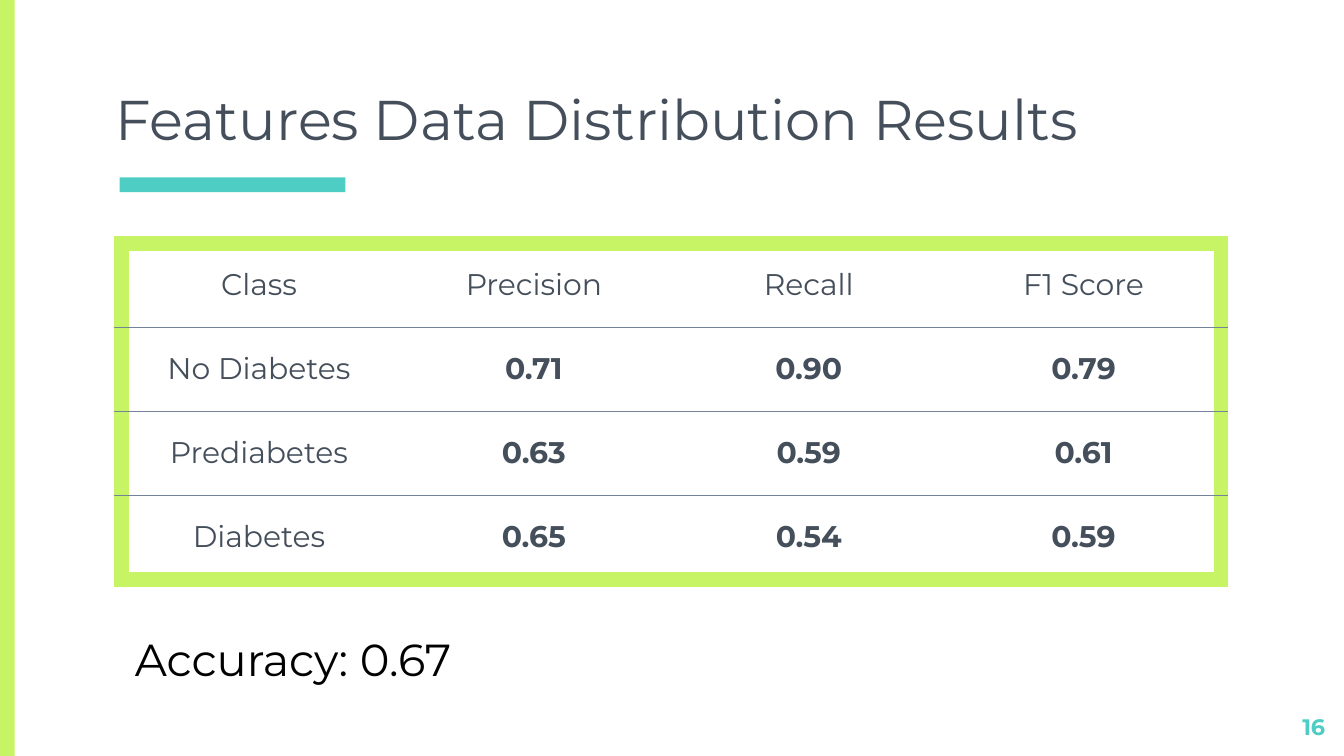
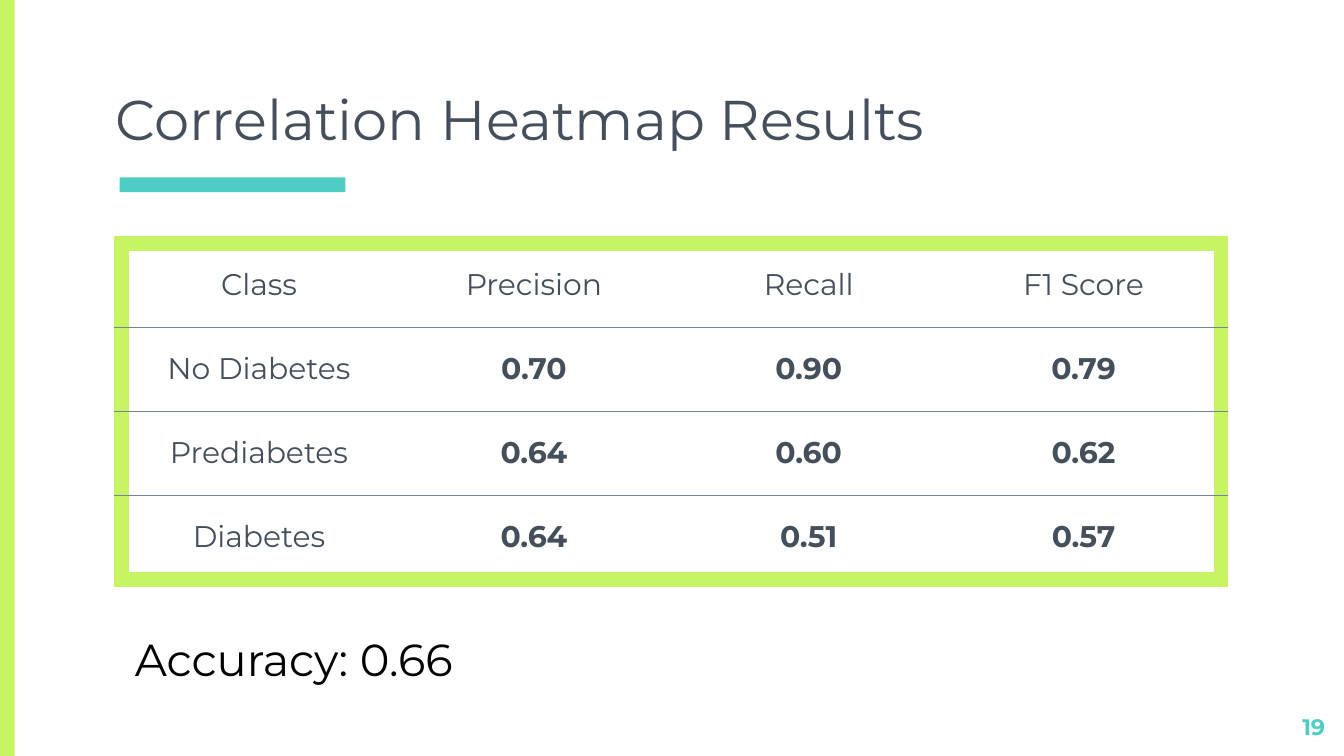
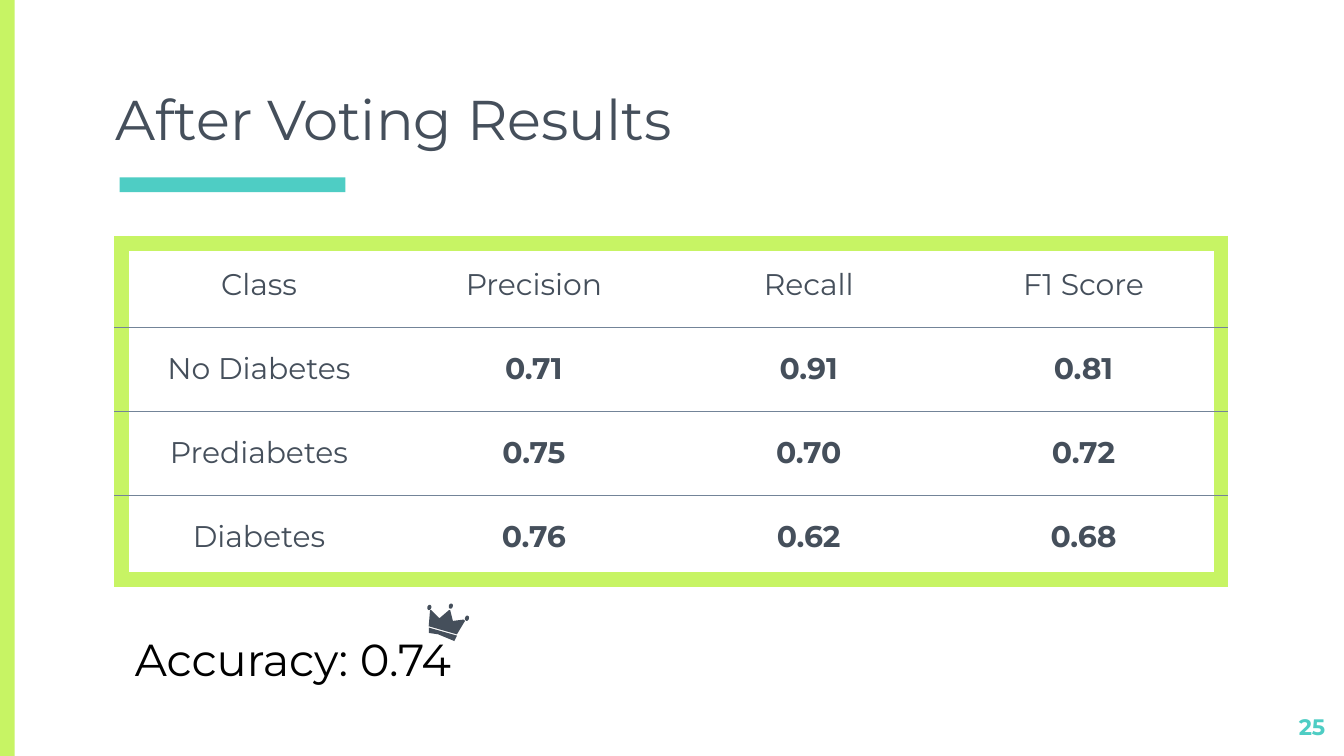
from lxml import etree
from pptx import Presentation
from pptx import util as u
from pptx.dml.color import RGBColor
from pptx.enum import shapes, text
from pptx.oxml import ns

PX = u.Inches(1) // 200
FONT = "Montserrat"
SLATE = RGBColor(0x45, 0x4F, 0x5B)
TEAL = RGBColor(0x4E, 0xCD, 0xC4)
LIME = RGBColor(0xC7, 0xF4, 0x64)
RULE = RGBColor(0x73, 0x84, 0x98)
BLACK = RGBColor(0, 0, 0)
NO_GRID_STYLE = "{2D5ABB26-0587-4C30-8999-92F81FD0307C}"

HEADERS = ("Class", "Precision", "Recall", "F1 Score")
CLASSES = ("No Diabetes", "Prediabetes", "Diabetes")
RESULTS = (
    ("Features Data Distribution Results", 16, "0.67",
     (("0.71", "0.90", "0.79"), ("0.63", "0.59", "0.61"), ("0.65", "0.54", "0.59"))),
    ("Correlation Heatmap Results", 19, "0.66",
     (("0.70", "0.90", "0.79"), ("0.64", "0.60", "0.62"), ("0.64", "0.51", "0.57"))),
    ("After Voting Results", 25, "0.74",
     (("0.71", "0.91", "0.81"), ("0.75", "0.70", "0.72"), ("0.76", "0.62", "0.68"))),
)

CROWN_BODY = ((668, 908), (654, 920), (642, 908), (640, 908), (638, 932),
              (680, 944), (692, 924), (690, 922), (674, 924), (670, 908))
CROWN_BASE = ((638, 934), (638, 942), (652, 944), (676, 954), (680, 946))
CROWN_JEWELS = ((668, 898), (692, 916), (636, 900))


def px(*lengths):
    return [n * PX for n in lengths]


def paint(sp, color):
    sp.shadow.inherit = False
    sp.fill.solid()
    sp.fill.fore_color.rgb = color
    sp.line.fill.background()


def write(tf, content, size, color, bold=False, align=text.PP_ALIGN.LEFT):
    tf.text = content
    p = tf.paragraphs[0]
    p.alignment = align
    font = p.runs[0].font
    font.name, font.size, font.bold = FONT, u.Pt(size), bold
    font.color.rgb = color


def set_insets(tf):
    tf.word_wrap = True
    tf.auto_size = text.MSO_AUTO_SIZE.NONE
    tf.margin_left = tf.margin_right = tf.margin_top = tf.margin_bottom = 20 * PX


def add_text(slide, box, *args, **style):
    tf = slide.shapes.add_textbox(*px(*box)).text_frame
    set_insets(tf)
    write(tf, *args, **style)


def set_title(slide, content):
    title = slide.shapes.title
    title.left, title.top, title.width, title.height = px(152, 34, 1698, 212)
    tf = title.text_frame
    set_insets(tf)
    tf.vertical_anchor = text.MSO_ANCHOR.BOTTOM
    write(tf, content, 30, SLATE)


def move_bars_to_layout(slide, layout):
    for ph in list(layout.placeholders)[1:]:
        ph.element.getparent().remove(ph.element)
    for box, color in (((178, 264, 336, 22), TEAL), ((0, 0, 22, 1125), LIME)):
        sp = slide.shapes.add_shape(shapes.MSO_SHAPE.RECTANGLE, *px(*box))
        paint(sp, color)
        layout.shapes.element.append(sp.element)


def add_border(cell, side, color, width):
    ln = etree.SubElement(cell._tc.get_or_add_tcPr(), ns.qn(f"a:ln{side}"),
                          w=str(u.Pt(width)))
    fill = etree.SubElement(ln, ns.qn("a:solidFill"))
    etree.SubElement(fill, ns.qn("a:srgbClr"), val=str(color))


def add_cell_borders(cell, row, col, last_row, last_col):
    frame, rule = (LIME, 9), (RULE, 0.75)
    if col == 0:
        add_border(cell, "L", *frame)
    if col == last_col:
        add_border(cell, "R", *frame)
    add_border(cell, "T", *(frame if row == 0 else rule))
    add_border(cell, "B", *(frame if row == last_row else rule))


def add_scores(slide, scores):
    rows = [HEADERS] + [(name, *values) for name, values in zip(CLASSES, scores)]
    n_rows, n_cols = len(rows), len(HEADERS)
    table = slide.shapes.add_table(
        n_rows, n_cols, *px(181, 362, 409 * n_cols, 125 * n_rows)).table
    table.first_row = table.horz_banding = False
    table._tbl.tblPr.find(ns.qn("a:tableStyleId")).text = NO_GRID_STYLE
    for i, row in enumerate(rows):
        for j, value in enumerate(row):
            cell = table.cell(i, j)
            cell.margin_left = cell.margin_right = 20 * PX
            cell.margin_top = cell.margin_bottom = 14 * PX
            cell.vertical_anchor = text.MSO_ANCHOR.MIDDLE
            write(cell.text_frame, value, 16, SLATE, bold=i > 0 and j > 0,
                  align=text.PP_ALIGN.CENTER)
            add_cell_borders(cell, i, j, n_rows - 1, n_cols - 1)
            cell.fill.background()


def add_crown(slide):
    crown = slide.shapes.add_group_shape().shapes
    for outline in (CROWN_BODY, CROWN_BASE):
        builder = crown.build_freeform(*outline[0], scale=PX)
        builder.add_line_segments(outline[1:], close=True)
        paint(builder.convert_to_shape(), SLATE)
    for x, y in CROWN_JEWELS:
        jewel = crown.add_shape(shapes.MSO_SHAPE.OVAL, *px(x, y, 6, 8))
        jewel.rotation = 16.4
        paint(jewel, SLATE)


def main():
    prs = Presentation()
    prs.slide_width, prs.slide_height = px(2000, 1125)
    layout = prs.slide_layouts[5]
    for title, number, accuracy, scores in RESULTS:
        slide = prs.slides.add_slide(layout)
        set_title(slide, title)
        add_text(slide, (1872, 1041, 120, 68), str(number), 12, TEAL, bold=True,
                 align=text.PP_ALIGN.RIGHT)
        add_scores(slide, scores)
        add_text(slide, (181, 920, 1326, 122), f"Accuracy: {accuracy}", 24, BLACK)
    move_bars_to_layout(prs.slides[0], layout)
    add_crown(slide)
    prs.save("out.pptx")


if __name__ == "__main__":
    main()
